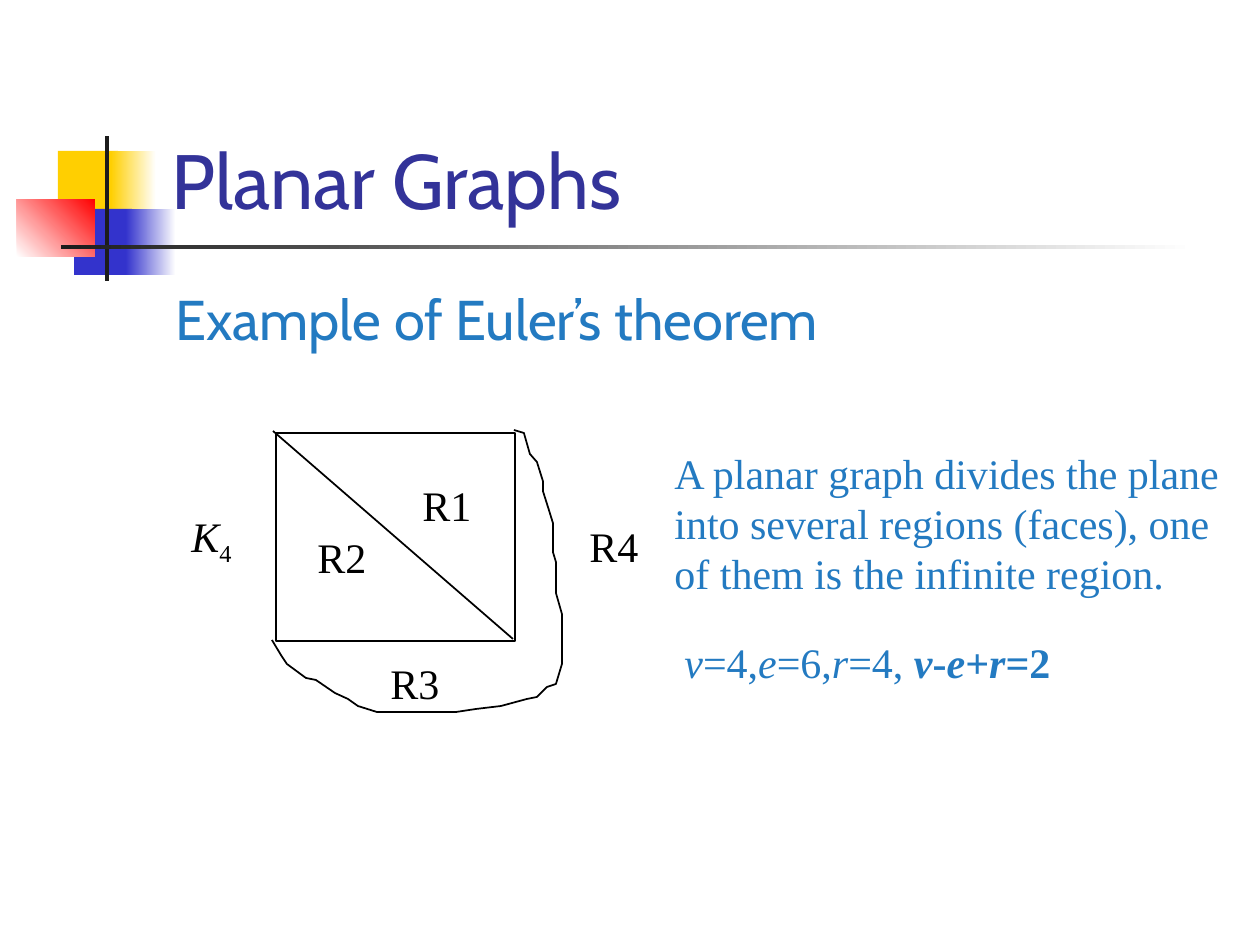
"""Build the slide on planar graphs and Euler's theorem."""
import dataclasses
import typing

import pptx
import pptx.dml.color
import pptx.enum.shapes
import pptx.enum.text
import pptx.oxml
import pptx.oxml.ns
import pptx.util

RGB = pptx.dml.color.RGBColor
Align = pptx.enum.text.PP_ALIGN
Anchor = pptx.enum.text.MSO_ANCHOR
Fit = pptx.enum.text.MSO_AUTO_SIZE
Kind = pptx.enum.shapes.MSO_SHAPE
SCALE = 914400 / 126
BLACK = RGB(0, 0, 0)
WHITE = RGB(255, 255, 255)
DARK = RGB(0x1C, 0x1C, 0x1C)
GOLD = RGB(0xFF, 0xCF, 0x01)
RED = RGB(255, 0, 0)
BLUE = RGB(0x33, 0x33, 0xCC)
NAVY = RGB(0x33, 0x33, 0x99)
SKY = RGB(0x23, 0x7A, 0xC1)
SANS = "Cabin"
SERIF = "Times New Roman"


class Box(typing.NamedTuple):
    """Place and size in px."""
    left: int
    top: int
    width: int
    height: int


@dataclasses.dataclass
class Bar:
    """A filled block, fading when it has an end colour."""
    box: Box
    tint: RGB
    end: typing.Optional[RGB] = None
    angle: int = 0


@dataclasses.dataclass
class Part:
    """A run of text and its style."""
    text: str
    bold: bool = False
    slant: bool = False
    sub: bool = False


@dataclasses.dataclass
class Note:
    """A text box with one list of parts a line."""
    box: Box
    lines: list[list[Part]]
    tint: RGB = BLACK
    face: str = SERIF
    size: int = 24
    wrap: bool = False
    before: int = 0


BARS = [
    Bar(Box(58, 151, 60, 66), GOLD),
    Bar(Box(111, 151, 45, 66), GOLD, WHITE),
    Bar(Box(74, 209, 58, 66), BLUE),
    Bar(Box(126, 209, 50, 66), BLUE, WHITE),
    Bar(Box(17, 199, 78, 58), WHITE, RED, 45),
    Bar(Box(105, 136, 4, 145), DARK),
    Bar(Box(61, 245, 1134, 4), DARK, WHITE),
]
TITLE = Note(Box(159, 29, 1074, 202), [[Part("Planar Graphs")]],
             NAVY, SANS, 44, True)
LABELS = {"R1": (410, 473), "R2": (305, 525), "R3": (378, 651), "R4": (577, 514)}
FACTS = ["A planar graph divides the plane",
         "into several regions (faces), one",
         "of them is the infinite region."]
SUM = [
    Part("v", slant=True), Part("=4,"), Part("e", slant=True), Part("=6,"),
    Part("r", slant=True), Part("=4, "), Part("v", True, True), Part("-", True),
    Part("e", True, True), Part("+", True), Part("r", True, True), Part("=2", True),
]
NOTES = [
    Note(Box(163, 278, 1071, 567), [[Part("Example of Euler’s theorem")]],
         SKY, SANS, 32, True, 6),
    Note(Box(179, 504, 67, 63), [[Part("K", slant=True), Part("4", sub=True)]]),
    Note(Box(662, 441, 571, 164), [[Part(fact)] for fact in FACTS], SKY),
    Note(Box(672, 630, 391, 63), [SUM], SKY),
] + [Note(Box(*spot, 74, 63), [[Part(name)]]) for name, spot in LABELS.items()]
SQUARE = Box(276, 433, 239, 208)
CURVE = [
    (514, 430), (524, 433), (530, 454), (537, 462), (543, 481), (543, 491),
    (549, 510), (553, 523), (553, 552), (556, 562), (556, 593), (562, 614),
    (562, 664), (556, 684), (547, 687), (537, 697), (527, 699), (501, 706),
    (476, 709), (456, 712), (377, 712), (358, 706), (348, 699), (335, 693),
    (316, 680), (306, 678), (287, 664), (281, 655), (275, 645), (272, 640),
]


def emu(*px: int) -> list[int]:
    """Turn px into EMU."""
    return [round(n * SCALE) for n in px]


def draw_bar(shapes, bar: Bar) -> None:
    """Draw a solid or fading block."""
    shape = shapes.add_shape(Kind.RECTANGLE, *emu(*bar.box))
    shape.shadow.inherit = False
    shape.line.fill.background()
    if bar.end is None:
        shape.fill.solid()
        shape.fill.fore_color.rgb = bar.tint
        return
    shape.fill.gradient()
    shape.fill.gradient_angle = bar.angle
    for stop, tint in zip(shape.fill.gradient_stops, (bar.tint, bar.end)):
        stop.color.rgb = tint


def write(frame, note: Note) -> None:
    """Fill a text frame run by run."""
    frame.word_wrap = note.wrap
    frame.auto_size = Fit.NONE if note.wrap else Fit.SHAPE_TO_FIT_TEXT
    for at, line in enumerate(note.lines):
        para = frame.add_paragraph() if at else frame.paragraphs[0]
        para.alignment = Align.LEFT
        para.space_before = pptx.util.Pt(note.before)
        for part in line:
            run = para.add_run()
            run.text = part.text
            font = run.font
            font.name, font.size = note.face, pptx.util.Pt(note.size)
            font.bold, font.italic = part.bold, part.slant
            font.color.rgb = note.tint
            if part.sub:
                run._r.get_or_add_rPr().set("baseline", "-25000")


def ink(shape) -> None:
    """Give a shape a thin black line."""
    shape.line.color.rgb = BLACK
    shape.line.width = pptx.util.Pt(1)


def draw_graph(shapes) -> None:
    """Draw the square, its diagonal and the outer edge."""
    square = shapes.add_shape(Kind.RECTANGLE, *emu(*SQUARE))
    edge = shapes.add_connector(
        pptx.enum.shapes.MSO_CONNECTOR.STRAIGHT, *emu(273, 431, 513, 639))
    edge._element.spPr.append(pptx.oxml.parse_xml(
        f"<a:effectLst {pptx.oxml.ns.nsdecls('a')}/>"))
    pen = shapes.build_freeform(*CURVE[0], scale=SCALE)
    pen.add_line_segments(CURVE[1:], close=False)
    curve = pen.convert_to_shape()
    for shape in (square, curve):
        shape.shadow.inherit = False
        shape.fill.background()
    for shape in (square, edge, curve):
        ink(shape)


def main() -> None:
    """Build and save the slide."""
    deck = pptx.Presentation()
    deck.slide_width, deck.slide_height = emu(1260, 945)
    shapes = deck.slides.add_slide(deck.slide_layouts[5]).shapes
    for bar in BARS:
        draw_bar(shapes, bar)
    title = shapes.title
    title.left, title.top, title.width, title.height = emu(*TITLE.box)
    title.text_frame.vertical_anchor = Anchor.BOTTOM
    write(title.text_frame, TITLE)
    draw_graph(shapes)
    for note in NOTES:
        write(shapes.add_textbox(*emu(*note.box)).text_frame, note)
    deck.save("out.pptx")


if __name__ == "__main__":
    main()
